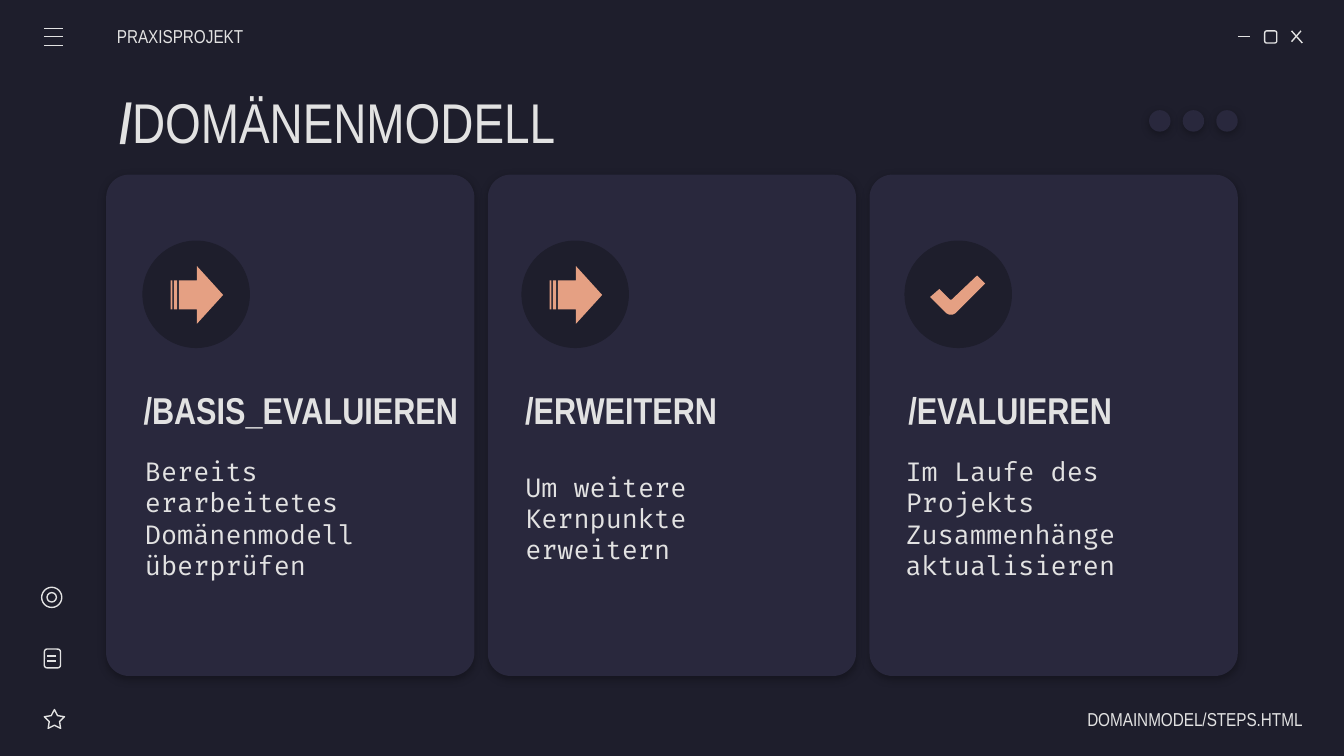
from dataclasses import dataclass

from lxml import etree
from pptx import Presentation
from pptx import util as u
from pptx.dml.color import RGBColor
from pptx.enum import shapes, text
from pptx.oxml.ns import qn

COLORS = {"back": "1E1E2C", "panel": "29283D", "ink": "E2E2E2",
          "accent": "E5A083", "shadow": "000000"}
NARROW, MONO = "Arial Narrow", "Fira Code"
KIND = shapes.MSO_SHAPE
CARD_LEFT, CARD_TOP, CARD_STEP = 0.79, 1.3, 2.84
# Corners of the check mark, in hundredths of an inch
CHECK = [(727, 205), (708, 223), (707, 223), (699, 215), (692, 221),
         (704, 233), (706, 234), (709, 234), (711, 233), (733, 211)]


@dataclass
class Card:
    heading: str
    body: str
    icon_left: float
    heading_left: float
    body_left: float
    arrow: bool = True


@dataclass
class Span:
    words: str
    bold: bool = False


CARDS = [
    Card("/BASIS_EVALUIEREN", "Bereits erarbeitetes Domänenmodell überprüfen",
         1.06, 0.97, 0.98),
    Card("/ERWEITERN", "Um weitere Kernpunkte erweitern", 3.88, 3.81, 3.81),
    Card("/EVALUIEREN", "Im Laufe des Projekts Zusammenhänge aktualisieren",
         6.73, 6.66, 6.64, arrow=False),
]


def color(name: str) -> RGBColor:
    return RGBColor.from_string(COLORS[name])


def paint(shape, fill: str = "", shadow: bool = False) -> None:
    """Fill a shape, or outline it when no fill is named."""
    if fill:
        shape.fill.solid()
        shape.fill.fore_color.rgb = color(fill)
        shape.line.fill.background()
    else:
        shape.fill.background()
        shape.line.color.rgb = color("ink")
        shape.line.width = u.Pt(0.75)
    shape.shadow.inherit = False
    if shadow:
        effects = shape._element.spPr.find(qn("a:effectLst"))
        outer = etree.SubElement(
            effects, qn("a:outerShdw"), blurRad=str(u.Pt(4.5)), dist=str(u.Pt(1.5)),
            dir="5400000", algn="bl", rotWithShape="0")
        tint = etree.SubElement(outer, qn("a:srgbClr"), val=COLORS["shadow"])
        etree.SubElement(tint, qn("a:alpha"), val="30000")


def add_shape(page, kind, left: float, top: float, width: float, height: float,
              fill: str = "", shadow: bool = False, adjust: tuple = ()) -> None:
    shape = page.shapes.add_shape(kind, u.Inches(left), u.Inches(top),
                                  u.Inches(width), u.Inches(height))
    for index, value in enumerate(adjust):
        shape.adjustments[index] = value
    paint(shape, fill, shadow)


def add_line(page, x1: float, y1: float, x2: float, y2: float) -> None:
    line = page.shapes.add_connector(
        shapes.MSO_CONNECTOR.STRAIGHT,
        u.Inches(x1), u.Inches(y1), u.Inches(x2), u.Inches(y2))
    line.line.color.rgb = color("ink")
    line.line.width = u.Pt(0.75)
    etree.SubElement(line._element.spPr, qn("a:effectLst"))


def add_text(page, left: float, top: float, width: float, height: float,
             spans: list[Span], size: float, font: str = NARROW,
             align=text.PP_ALIGN.LEFT, inset_left: float = 0.1,
             inset_right: float = 0.1) -> None:
    box = page.shapes.add_textbox(u.Inches(left), u.Inches(top),
                                  u.Inches(width), u.Inches(height))
    frame = box.text_frame
    frame.word_wrap = True
    frame.vertical_anchor = text.MSO_ANCHOR.MIDDLE
    frame.margin_left, frame.margin_right = u.Inches(inset_left), u.Inches(inset_right)
    frame.margin_top = frame.margin_bottom = u.Inches(0.1)
    para = frame.paragraphs[0]
    para.alignment = align
    for span in spans:
        run = para.add_run()
        run.text = span.words
        run.font.name, run.font.size, run.font.bold = font, u.Pt(size), span.bold
        run.font.color.rgb = color("ink")


def add_check(page) -> None:
    builder = page.shapes.build_freeform(*CHECK[0], scale=u.Inches(0.01))
    builder.add_line_segments(CHECK[1:], close=True)
    paint(builder.convert_to_shape(), "accent")


def add_card(page, index: int, card: Card) -> None:
    left = CARD_LEFT + index * CARD_STEP
    add_shape(page, KIND.ROUNDED_RECTANGLE, left, CARD_TOP, 2.74, 3.73,
              "panel", True, (0.062,))
    add_shape(page, KIND.OVAL, card.icon_left, 1.79, 0.8, 0.8, "back")
    if card.arrow:
        add_shape(page, KIND.STRIPED_RIGHT_ARROW, card.icon_left + 0.21, 1.98,
                  0.39, 0.43, "accent")
    else:
        add_check(page)
    add_text(page, card.heading_left, 2.79, 2.73, 0.51, [Span(card.heading, True)], 20)
    add_text(page, card.body_left, 3.31, 2.38, 1.09, [Span(card.body)], 14, MONO)


def add_window_frame(page) -> None:
    # Menu lines
    for top in (0.21, 0.27, 0.34):
        add_line(page, 0.33, top, 0.47, top)
    # Minimise, maximise, close
    add_line(page, 9.21, 0.27, 9.3, 0.27)
    add_shape(page, KIND.ROUNDED_RECTANGLE, 9.41, 0.23, 0.09, 0.09)
    add_line(page, 9.61, 0.23, 9.69, 0.32)
    add_line(page, 9.68, 0.23, 9.61, 0.31)
    # Target, document and star
    add_shape(page, KIND.OVAL, 0.31, 4.37, 0.15, 0.15)
    add_shape(page, KIND.OVAL, 0.35, 4.41, 0.07, 0.07)
    add_shape(page, KIND.ROUNDED_RECTANGLE, 0.33, 4.83, 0.12, 0.14)
    for top in (4.88, 4.92):
        add_line(page, 0.35, top, 0.42, top)
    add_shape(page, KIND.STAR_5_POINT, 0.33, 5.28, 0.15, 0.14,
              adjust=(0.254, 1.051, 1.106))
    # Dots beside the title
    for index in range(3):
        add_shape(page, KIND.OVAL, 8.55 + index * 0.25, 0.82, 0.16, 0.16, "panel", True)


def main() -> None:
    deck = Presentation()
    # Widescreen, 16 to 9
    deck.slide_width = u.Inches(10)
    deck.slide_height = u.Inches(10 * 9 / 16)
    page = deck.slides.add_slide(deck.slide_layouts[6])
    page.background.fill.solid()
    page.background.fill.fore_color.rgb = color("back")

    add_window_frame(page)
    # Header, title and footer
    add_text(page, 0.87, 0.12, 1.17, 0.3, [Span("PRAXISPROJEKT")], 10, inset_left=0)
    add_text(page, 0.79, 0.59, 4.97, 0.63, [Span("/", True), Span("DOMÄNENMODELL")], 30)
    add_text(page, 6.64, 5.2, 3.05, 0.3, [Span("DOMAINMODEL/STEPS.HTML")],
             10, align=text.PP_ALIGN.RIGHT, inset_right=0)
    for index, card in enumerate(CARDS):
        add_card(page, index, card)

    deck.save("out.pptx")


if __name__ == "__main__":
    main()
